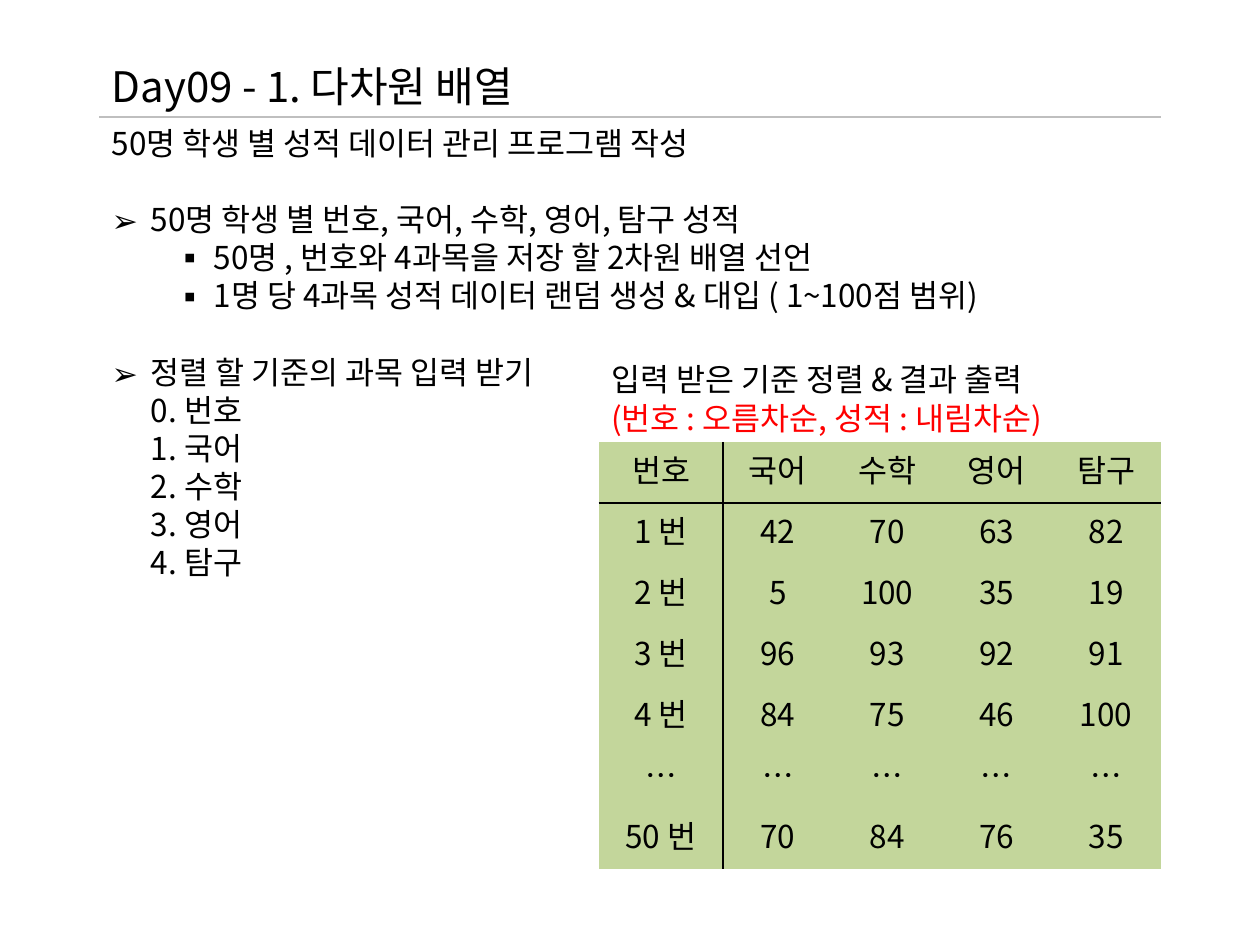
"""Build the slide on multidimensional arrays with a student score table."""
from lxml import etree
from pptx import Presentation
from pptx.dml.color import RGBColor
from pptx.enum.shapes import MSO_CONNECTOR
from pptx.enum.text import MSO_ANCHOR, MSO_AUTO_SIZE, PP_ALIGN
from pptx.oxml.ns import qn
from pptx.util import Cm, Pt

LEFT, CENTER = PP_ALIGN.LEFT, PP_ALIGN.CENTER
TOP, MIDDLE = MSO_ANCHOR.TOP, MSO_ANCHOR.MIDDLE
FIXED = MSO_AUTO_SIZE.NONE
STRAIGHT = MSO_CONNECTOR.STRAIGHT

FONT = "Noto Sans CJK KR"
BLACK, RED, GREEN, GRAY = "000000", "FF0000", "C3D69B", "BFBFBF"
SIZE, TITLE_SIZE, LEADING = 18, 24, 1.21
LEFT_EDGE, WIDTH, RULE_Y = 2, 21.4, 2.36
TABLE_X, TABLE_Y, TABLE_W = 12.07, 8.91, 11.33
FIRST_COL, ROW_H = 2.51, 1.23
HANG = 0.79

TITLE = "Day09 - 1. 다차원 배열"
SUBJECTS = ["번호", "국어", "수학", "영어", "탐구"]
MENU = "\n".join(f"{i}. {name}" for i, name in enumerate(SUBJECTS))
BODY = [
    # text, level, bullet, blank lines before
    ("50명 학생 별 성적 데이터 관리 프로그램 작성", 0, None, 0),
    ("50명 학생 별 번호, 국어, 수학, 영어, 탐구 성적", 0, "➢", 1),
    ("50명 , 번호와 4과목을 저장 할 2차원 배열 선언", 1, "▪", 0),
    ("1명 당 4과목 성적 데이터 랜덤 생성 & 대입 ( 1~100점 범위)", 1, "▪", 0),
    ("정렬 할 기준의 과목 입력 받기\n" + MENU, 0, "➢", 1),
]
NOTE = [
    ("입력 받은 기준 정렬 & 결과 출력", BLACK),
    ("(번호 : 오름차순, 성적 : 내림차순)", RED),
]
SCORES = [
    SUBJECTS,
    ["1 번", "42", "70", "63", "82"],
    ["2 번", "5", "100", "35", "19"],
    ["3 번", "96", "93", "92", "91"],
    ["4 번", "84", "75", "46", "100"],
    ["…"] * 5,
    ["50 번", "70", "84", "76", "35"],
]


def rgb(value):
    """Turn a hex string into a colour."""
    return RGBColor.from_string(value)


def place(shape, x, y, w, h):
    """Position a shape, in centimetres."""
    shape.left, shape.top, shape.width, shape.height = map(Cm, (x, y, w, h))


def frame(shape):
    """Return the shape's text frame, wrapped and anchored at the top."""
    tf = shape.text_frame
    tf.word_wrap, tf.auto_size, tf.vertical_anchor = True, FIXED, TOP
    tf.margin_left = tf.margin_right = Cm(0.25)
    tf.margin_top = tf.margin_bottom = Cm(0.13)
    return tf


def style(p, size=SIZE, color=BLACK, align=LEFT, before=0, leading=LEADING):
    """Format a paragraph and its runs."""
    p.alignment = align
    p.line_spacing = Pt(round(size * leading, 1))
    p.space_before, p.space_after = Pt(before), Pt(0)
    for r in p.runs:
        r.font.name, r.font.size, r.font.bold = FONT, Pt(size), False
        r.font.color.rgb = rgb(color)
        ea = etree.SubElement(r.font._element, qn("a:ea"))
        ea.set("typeface", FONT)


def bullet(p, char, level):
    """Set the bullet and hanging indent of a paragraph."""
    p.level = level
    pPr = p._p.get_or_add_pPr()
    hang = HANG if char else 0
    pPr.set("marL", str(Cm(hang + 1.27 * level)))
    pPr.set("indent", str(-Cm(hang)))
    if char:
        etree.SubElement(pPr, qn("a:buFont")).set("typeface", FONT)
        etree.SubElement(pPr, qn("a:buChar")).set("char", char)
    else:
        etree.SubElement(pPr, qn("a:buNone"))


def borders(cell, shown):
    """Draw the sides named in shown and clear the others."""
    tcPr = cell._tc.get_or_add_tcPr()
    for side in "LRTB":
        ln = etree.SubElement(tcPr, qn(f"a:ln{side}"), w=str(Pt(1)))
        if side in shown:
            fill = etree.SubElement(ln, qn("a:solidFill"))
            etree.SubElement(fill, qn("a:srgbClr")).set("val", BLACK)
        else:
            etree.SubElement(ln, qn("a:noFill"))


def paragraphs(tf, texts):
    """Write one paragraph per text and return them."""
    for i, text in enumerate(texts):
        p = tf.add_paragraph() if i else tf.paragraphs[0]
        p.text = text
    return tf.paragraphs


def add_scores(s):
    """Add the score table."""
    n_rows, n_cols = len(SCORES), len(SUBJECTS)
    box = map(Cm, (TABLE_X, TABLE_Y, TABLE_W, ROW_H * n_rows))
    table = s.shapes.add_table(n_rows, n_cols, *box).table
    table.first_row = table.horz_banding = False
    for j, col in enumerate(table.columns):
        col.width = Cm((TABLE_W - FIRST_COL) / (n_cols - 1) if j else FIRST_COL)
    for i, row in enumerate(SCORES):
        table.rows[i].height = Cm(ROW_H)
        for j, text in enumerate(row):
            cell = table.cell(i, j)
            cell.text, cell.vertical_anchor = text, MIDDLE
            style(cell.text_frame.paragraphs[0], align=CENTER)
            borders(cell, {0: "R", 1: "L"}.get(j, "") + {0: "B", 1: "T"}.get(i, ""))
            cell.fill.solid()
            cell.fill.fore_color.rgb = rgb(GREEN)


def main():
    """Build and save the slide."""
    prs = Presentation()
    prs.slide_width, prs.slide_height = Cm(25.4), Cm(19.05)
    s = prs.slides.add_slide(prs.slide_layouts[1])
    title, body = s.placeholders

    place(title, LEFT_EDGE, 1.08, WIDTH, 1.28)
    tf = frame(title)
    tf.text = TITLE
    style(tf.paragraphs[0], size=TITLE_SIZE)

    rule = s.shapes.add_connector(
        STRAIGHT, Cm(LEFT_EDGE), Cm(RULE_Y), Cm(LEFT_EDGE + WIDTH), Cm(RULE_Y))
    rule.line.color.rgb, rule.line.width = rgb(GRAY), Pt(0.75)
    etree.SubElement(rule._element.spPr, qn("a:effectLst"))

    place(body, LEFT_EDGE, RULE_Y, WIDTH, 9.5)
    texts = [item[0] for item in BODY]
    for p, (_, level, char, blanks) in zip(paragraphs(frame(body), texts), BODY):
        style(p, before=round(blanks * SIZE * LEADING, 1))
        bullet(p, char, level)

    note = s.shapes.add_textbox(Cm(TABLE_X), Cm(7.13), Cm(TABLE_W), Cm(1.8))
    for p, (_, color) in zip(paragraphs(frame(note), [t for t, _ in NOTE]), NOTE):
        style(p, color=color)

    add_scores(s)
    prs.save("out.pptx")


if __name__ == "__main__":
    main()
